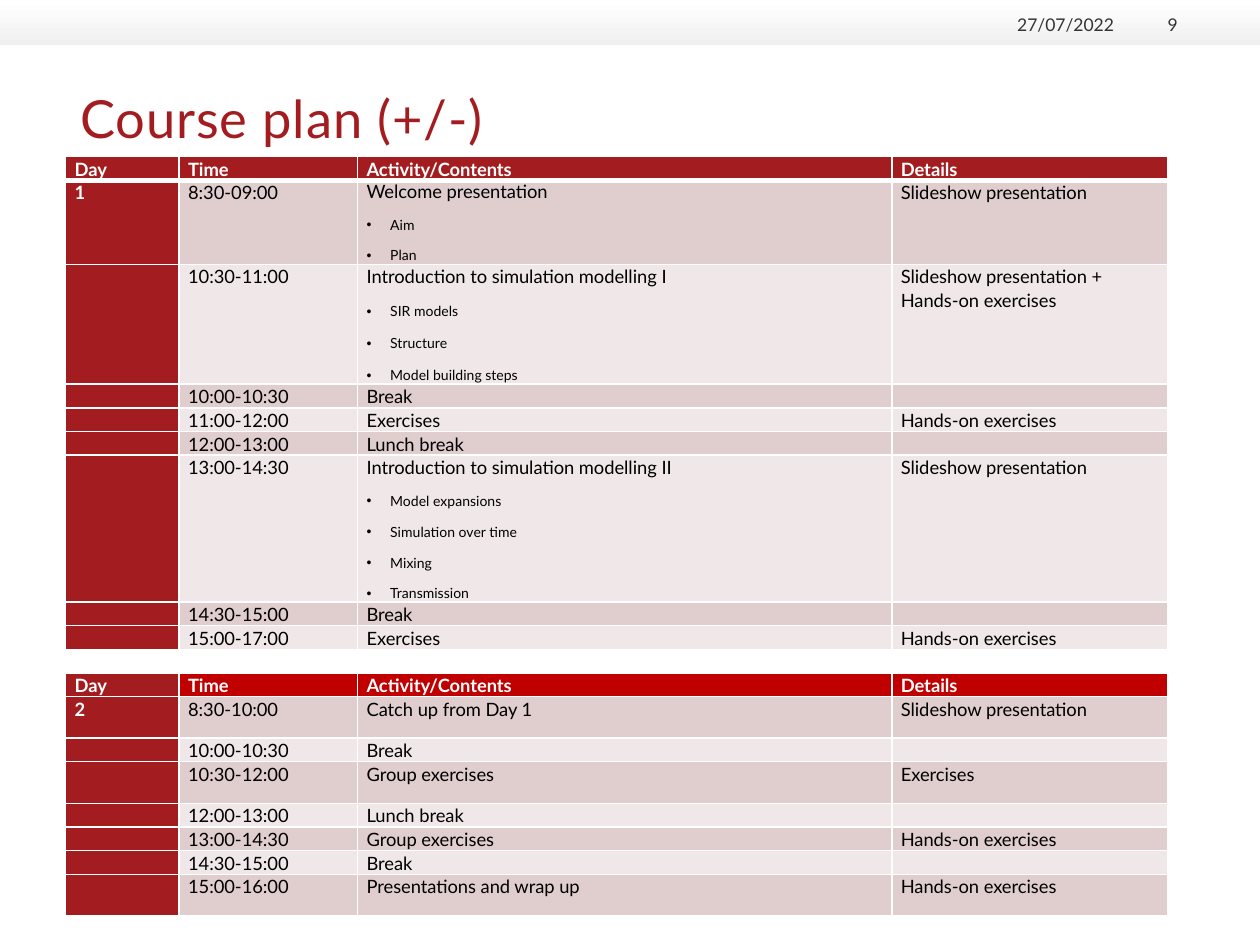
from dataclasses import dataclass

from lxml import etree
from pptx import Presentation
from pptx.dml.color import RGBColor
from pptx.enum.shapes import MSO_SHAPE
from pptx.enum.text import MSO_ANCHOR, MSO_AUTO_SIZE, PP_ALIGN
from pptx.oxml.ns import qn
from pptx.util import Pt

RECTANGLE = MSO_SHAPE.RECTANGLE
TOP, BOTTOM = MSO_ANCHOR.TOP, MSO_ANCHOR.BOTTOM
NO_AUTOFIT = MSO_AUTO_SIZE.NONE
LEFT, RIGHT = PP_ALIGN.LEFT, PP_ALIGN.RIGHT


@dataclass(frozen=True)
class Theme:
    font: str = "Lato"
    red: str = "A31D20"
    bright_red: str = "C00000"
    dark_band: str = "E0CDCD"
    light_band: str = "F0E8E8"
    white: str = "FFFFFF"
    black: str = "000000"
    grey: str = "333333"
    header_grey: str = "EFF0EF"
    title_size: float = 30
    table_size: float = 10.5
    header_size: float = 10
    bullet_size: float = 8


@dataclass(frozen=True)
class Session:
    time: str
    activity: str
    details: str = ""
    height: float = 13.5
    topics: tuple = ()
    activity_spacing: float = 1.07
    topic_spacing: float = 1.0


HEADINGS = ("Day", "Time", "Activity/Contents", "Details")
COLUMN_WIDTHS = (64.8, 102, 305.3, 157.5)
ROW_HEIGHT = 13.5
TALL_ROW = 23.75
SLIDES = "Slideshow presentation"
HANDS_ON = "Hands-on exercises"

DAY_ONE = (
    Session("8:30-09:00", "Welcome presentation", SLIDES, 48, ("Aim", "Plan"), 1.0),
    Session("10:30-11:00", "Introduction to simulation modelling I", f"{SLIDES} + {HANDS_ON}", 68.5,
            ("SIR models", "Structure", "Model building steps"), topic_spacing=1.07),
    Session("10:00-10:30", "Break"),
    Session("11:00-12:00", "Exercises", HANDS_ON),
    Session("12:00-13:00", "Lunch break"),
    Session("13:00-14:30", "Introduction to simulation modelling II", SLIDES, 83.5,
            ("Model expansions", "Simulation over time", "Mixing", "Transmission")),
    Session("14:30-15:00", "Break"),
    Session("15:00-17:00", "Exercises", HANDS_ON),
)
DAY_TWO = (
    Session("8:30-10:00", "Catch up from Day 1", SLIDES, TALL_ROW),
    Session("10:00-10:30", "Break"),
    Session("10:30-12:00", "Group exercises", "Exercises", TALL_ROW),
    Session("12:00-13:00", "Lunch break"),
    Session("13:00-14:30", "Group exercises", HANDS_ON),
    Session("14:30-15:00", "Break"),
    Session("15:00-16:00", "Presentations and wrap up", HANDS_ON, TALL_ROW),
)


class SlideBuilder:
    def __init__(self, slide, theme):
        self.slide = slide
        self.theme = theme

    def format_text(self, paragraph, size, color, bold=False):
        for run in paragraph.runs:
            run.font.name = self.theme.font
            run.font.size = Pt(size)
            run.font.bold = bold
            run.font.color.rgb = RGBColor.from_string(color)

    def prepare_frame(self, text_frame, anchor):
        text_frame.margin_left = text_frame.margin_right = 0
        text_frame.margin_top = text_frame.margin_bottom = 0
        text_frame.word_wrap = True
        text_frame.auto_size = NO_AUTOFIT
        text_frame.vertical_anchor = anchor

    def header_band(self, width, height):
        band = self.slide.shapes.add_shape(RECTANGLE, 0, 0, Pt(width), Pt(height))
        band.shadow.inherit = False
        band.line.fill.background()
        band.fill.gradient()
        band.fill.gradient_angle = 270
        for stop, color in zip(band.fill.gradient_stops, (self.theme.white, self.theme.header_grey)):
            stop.color.rgb = RGBColor.from_string(color)

    def title(self, text, left, top, width, height):
        title = self.slide.shapes.title
        title.left, title.top, title.width, title.height = map(Pt, (left, top, width, height))
        self.prepare_frame(title.text_frame, TOP)
        title.text_frame.text = text
        paragraph = title.text_frame.paragraphs[0]
        paragraph.alignment = LEFT
        self.format_text(paragraph, self.theme.title_size, self.theme.red)
        paragraph.runs[0].font._element.set("spc", "50")

    def header_text(self, text, left, top, width, height):
        box = self.slide.shapes.add_textbox(*map(Pt, (left, top, width, height)))
        self.prepare_frame(box.text_frame, BOTTOM)
        box.text_frame.text = text
        paragraph = box.text_frame.paragraphs[0]
        paragraph.alignment = RIGHT
        self.format_text(paragraph, self.theme.header_size, self.theme.grey)

    def border(self, cell, side, width):
        line = etree.SubElement(cell._tc.get_or_add_tcPr(), qn(f"a:ln{side}"), w=str(Pt(width)))
        fill = etree.SubElement(line, qn("a:solidFill"))
        etree.SubElement(fill, qn("a:srgbClr"), val=self.theme.white)

    def cell(self, cell, text, fill, color, bold=False, spacing=1.07, top_line=1, bottom_line=1):
        for side, width in (("L", 1), ("R", 1), ("T", top_line), ("B", bottom_line)):
            self.border(cell, side, width)
        cell.fill.solid()
        cell.fill.fore_color.rgb = RGBColor.from_string(fill)
        cell.margin_left = cell.margin_right = Pt(5.2)
        cell.margin_top = cell.margin_bottom = 0
        paragraph = cell.text_frame.paragraphs[0]
        if text:
            paragraph.text = text
            paragraph.line_spacing = spacing
            paragraph.space_after = Pt(8)
            self.format_text(paragraph, self.theme.table_size, color, bold)
        else:
            etree.SubElement(paragraph._p, qn("a:endParaRPr"), sz=str(int(self.theme.table_size * 100)))

    def topics(self, cell, topics, spacing):
        for topic in topics:
            paragraph = cell.text_frame.add_paragraph()
            paragraph.text = topic
            paragraph.line_spacing = spacing
            paragraph.space_after = Pt(8)
            properties = paragraph._p.get_or_add_pPr()
            properties.set("marL", str(Pt(13.5)))
            properties.set("indent", str(-Pt(13.5)))
            etree.SubElement(properties, qn("a:buFont"), typeface="Arial")
            etree.SubElement(properties, qn("a:buChar"), char="•")
            self.format_text(paragraph, self.theme.bullet_size, self.theme.black)

    def day(self, table, first_row, number, sessions, header_fill, header_line):
        theme = self.theme
        table.rows[first_row].height = Pt(ROW_HEIGHT)
        for column, heading in enumerate(HEADINGS):
            fill = header_fill if column else theme.red
            self.cell(table.cell(first_row, column), heading, fill, theme.white, True, bottom_line=header_line)
        for index, session in enumerate(sessions):
            row = first_row + 1 + index
            table.rows[row].height = Pt(session.height)
            band = theme.light_band if index % 2 else theme.dark_band
            top_line = 1 if index else header_line
            day_label = "" if index else str(number)
            self.cell(table.cell(row, 0), day_label, theme.red, theme.white, True, top_line=top_line)
            texts = (session.time, session.activity, session.details)
            spacings = (1.07, session.activity_spacing, 1.07)
            for column, (text, spacing) in enumerate(zip(texts, spacings), 1):
                self.cell(table.cell(row, column), text, band, theme.black, spacing=spacing, top_line=top_line)
            self.topics(table.cell(row, 2), session.topics, session.topic_spacing)

    def course_table(self, left, top):
        gap_row = len(DAY_ONE) + 1
        row_count = gap_row + len(DAY_TWO) + 2
        frame = self.slide.shapes.add_table(row_count, len(HEADINGS), Pt(left), Pt(top),
                                            Pt(sum(COLUMN_WIDTHS)), Pt(ROW_HEIGHT * row_count))
        table = frame.table
        table.first_row = table.horz_banding = False
        for column, width in zip(table.columns, COLUMN_WIDTHS):
            column.width = Pt(width)
        self.day(table, 0, 1, DAY_ONE, self.theme.red, 3)
        table.rows[gap_row].height = Pt(ROW_HEIGHT)
        for cell in table.rows[gap_row].cells:
            self.cell(cell, "", self.theme.white, self.theme.black)
        self.day(table, gap_row + 1, 2, DAY_TWO, self.theme.bright_red, 1)


def main():
    presentation = Presentation()
    presentation.slide_width, presentation.slide_height = Pt(720), Pt(540)
    slide = presentation.slides.add_slide(presentation.slide_layouts[5])
    builder = SlideBuilder(slide, Theme())
    builder.header_band(720, 26)
    builder.title("Course plan (+/-)", 46, 49, 627, 68.5)
    builder.header_text("27/07/2022", 572.5, 6.5, 64, 13.5)
    builder.header_text("9", 643.5, 6.5, 29.5, 13.5)
    builder.course_table(37.5, 89.5)
    presentation.save("out.pptx")


if __name__ == "__main__":
    main()
